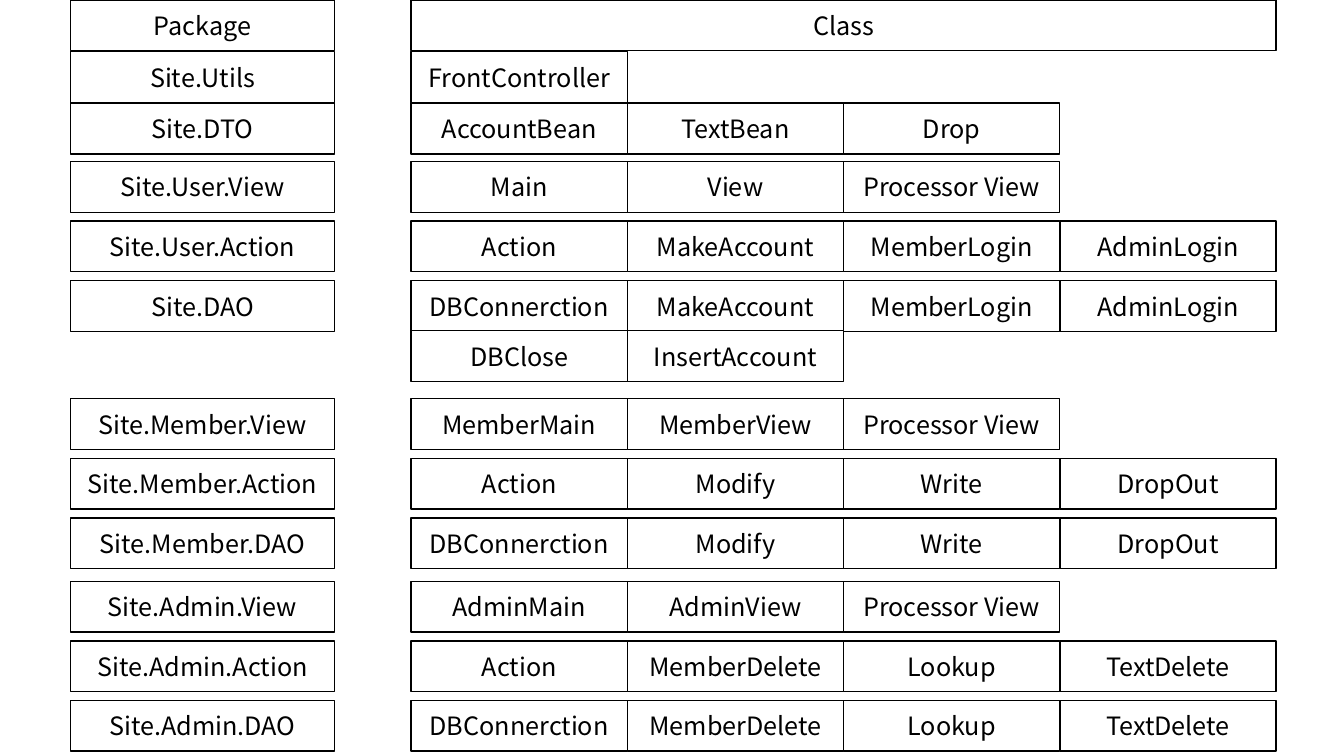
from pptx import Presentation
from pptx.dml.color import RGBColor
from pptx.enum.shapes import MSO_SHAPE as Preset
from pptx.enum.text import MSO_ANCHOR as Anchor, PP_ALIGN as Align
from pptx.util import Cm, Pt

COLORS = {"box": "FFFFFF", "ink": "000000"}
FONT = {"name": "Noto Sans CJK KR", "size": Pt(18)}

PACKAGE_LEFT, PACKAGE_WIDTH = 1.78, 6.65
CLASS_LEFT, CLASS_WIDTH = 10.36, 5.45
ROW_HEIGHT = 1.28

# Row groups: top, row pitch, rows of (package, classes)
GROUPS = [
    (0, 1.3, [
        ("Package", []),
        ("Site.Utils", ["FrontController"]),
        ("Site.DTO", ["AccountBean", "TextBean", "Drop"]),
    ]),
    (4.07, 1.5, [
        ("Site.User.View", ["Main", "View", "Processor View"]),
        ("Site.User.Action", ["Action", "MakeAccount", "MemberLogin", "AdminLogin"]),
        ("Site.DAO", ["DBConnerction", "MakeAccount", "MemberLogin", "AdminLogin"]),
    ]),
    (8.33, 1.5, [
        (None, ["DBClose", "InsertAccount"]),
    ]),
    (10.05, 1.5, [
        ("Site.Member.View", ["MemberMain", "MemberView", "Processor View"]),
        ("Site.Member.Action", ["Action", "Modify", "Write", "DropOut"]),
        ("Site.Member.DAO", ["DBConnerction", "Modify", "Write", "DropOut"]),
    ]),
    (14.65, 1.5, [
        ("Site.Admin.View", ["AdminMain", "AdminView", "Processor View"]),
        ("Site.Admin.Action", ["Action", "MemberDelete", "Lookup", "TextDelete"]),
        ("Site.Admin.DAO", ["DBConnerction", "MemberDelete", "Lookup", "TextDelete"]),
    ]),
]

presentation = Presentation()
presentation.slide_width, presentation.slide_height = Cm(33.87), Cm(19.05)
slide = presentation.slides.add_slide(presentation.slide_layouts[6])


def add_box(text, left, top, width):
    shape = slide.shapes.add_shape(
        Preset.RECTANGLE, Cm(left), Cm(top), Cm(width), Cm(ROW_HEIGHT))
    shape.shadow.inherit = False
    shape.fill.solid()
    shape.fill.fore_color.rgb = RGBColor.from_string(COLORS["box"])
    shape.line.color.rgb = RGBColor.from_string(COLORS["ink"])
    shape.line.width = Pt(1)
    shape.text_frame.vertical_anchor = Anchor.MIDDLE
    paragraph = shape.text_frame.paragraphs[0]
    paragraph.alignment = Align.CENTER
    run = paragraph.add_run()
    run.text = text
    for attribute, value in FONT.items():
        setattr(run.font, attribute, value)
    run.font.color.rgb = RGBColor.from_string(COLORS["ink"])


# Class heading spans all four class columns
add_box("Class", CLASS_LEFT, 0, 4 * CLASS_WIDTH)

# Packages with their classes
for group_top, pitch, rows in GROUPS:
    for row, (package, classes) in enumerate(rows):
        top = group_top + row * pitch
        if package:
            add_box(package, PACKAGE_LEFT, top, PACKAGE_WIDTH)
        for column, class_name in enumerate(classes):
            add_box(class_name, CLASS_LEFT + column * CLASS_WIDTH, top, CLASS_WIDTH)

presentation.save("out.pptx")
